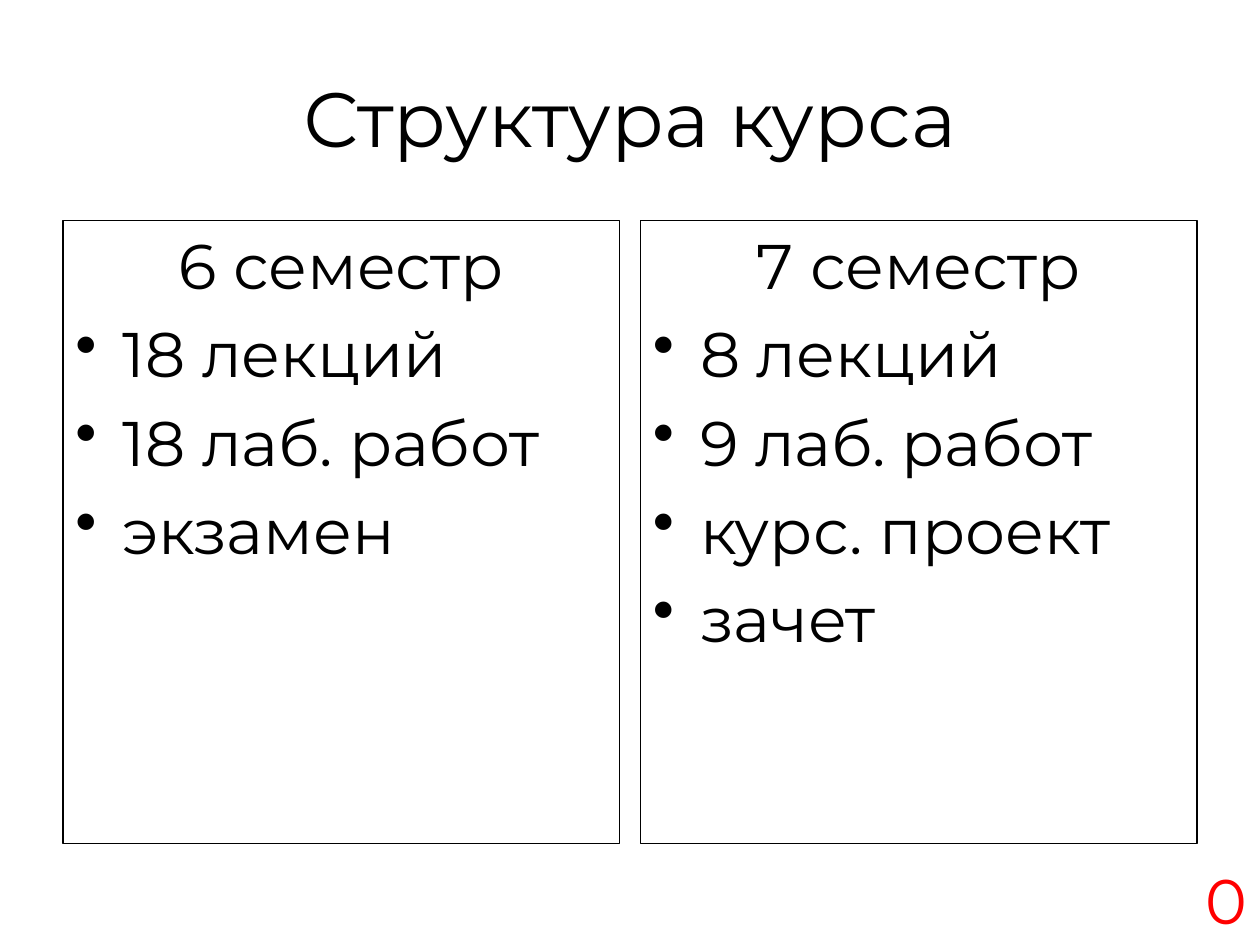
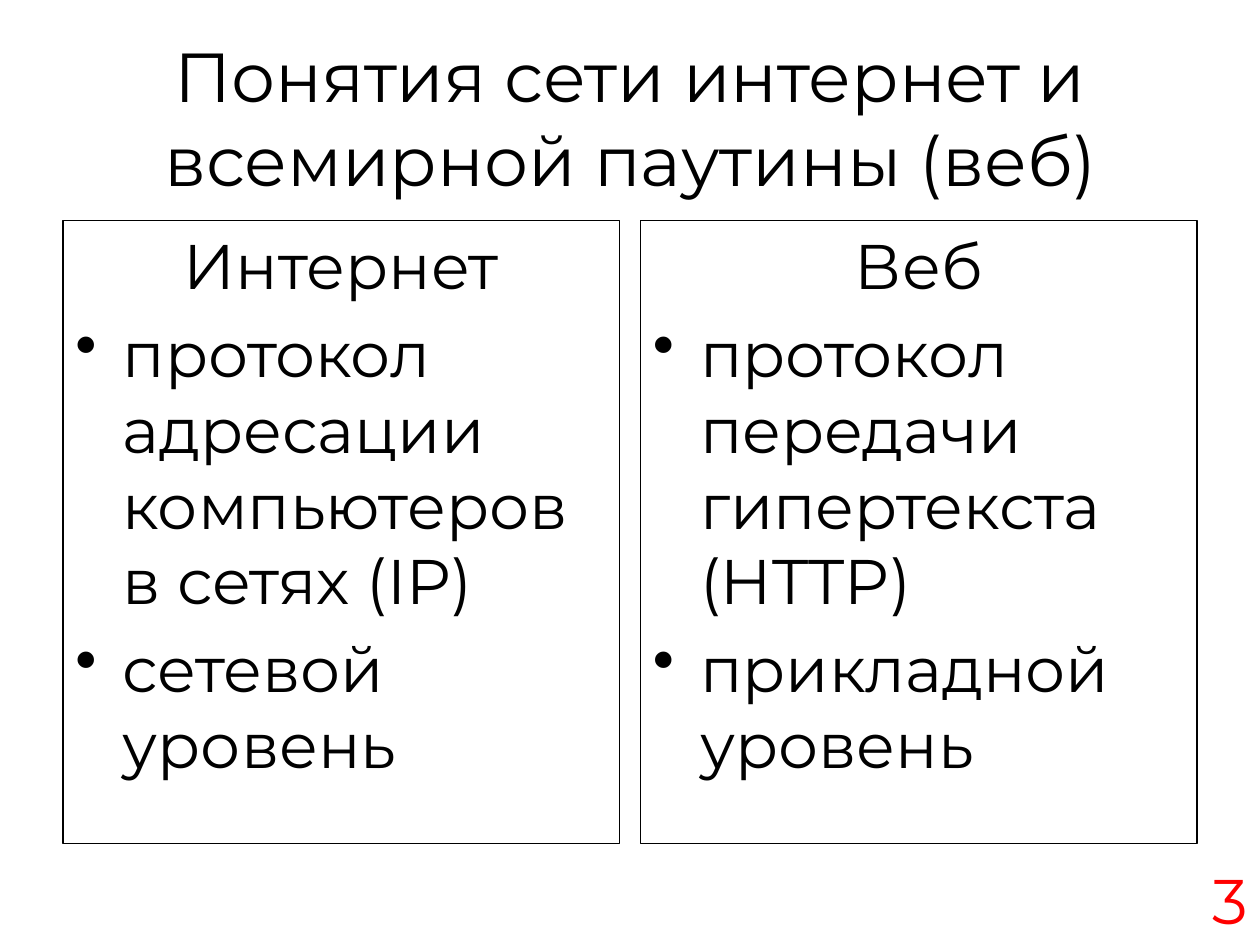
"""Build two slides that compare topics in pairs of framed columns."""
from lxml.etree import SubElement
from pptx import Presentation
from pptx.dml.color import RGBColor as Rgb
from pptx.enum.shapes import MSO_SHAPE as Shape
from pptx.enum.text import MSO_ANCHOR as Anchor, MSO_AUTO_SIZE as Auto, PP_ALIGN as Align
from pptx.oxml.ns import qn
from pptx.util import Pt

PX = 9525
FONT = "Montserrat"
INK = {"text": "000000", "line": "000000", "num": "FF0000"}
LEFT, TOP, WIDE, HIGH, GAP = 48, 168, 424, 475, 16
INDENT = 36

PAGES = [
    ("Структура курса", 44, "0", [
        ("6 семестр", ["18 лекций", "18 лаб. работ", "экзамен"]),
        ("7 семестр", ["8 лекций", "9 лаб. работ", "курс. проект", "зачет"]),
    ]),
    ("Понятия сети интернет и всемирной паутины (веб)", 39.6, "3", [
        ("Интернет", ["протокол адресации компьютеров в сетях (IP)", "сетевой уровень"]),
        ("Веб", ["протокол передачи гипертекста (HTTP)", "прикладной уровень"]),
    ]),
]


def style(para, size, ink, align):
    para.alignment = align
    for run in para.runs:
        run.font.name = FONT
        run.font.size = Pt(size)
        run.font.color.rgb = Rgb.from_string(INK[ink])


def label(slide, box, text, size, ink, align):
    frame = slide.shapes.add_textbox(*(n * PX for n in box)).text_frame
    frame.text = text
    style(frame.paragraphs[0], size, ink, align)
    return frame


deck = Presentation()
deck.slide_width = 960 * PX
deck.slide_height = 720 * PX

for title, size, num, cols in PAGES:
    slide = deck.slides.add_slide(deck.slide_layouts[6])
    head = label(slide, (LEFT, 29, 864, 120), title, size, "text", Align.CENTER)
    head.word_wrap = True
    head.vertical_anchor = Anchor.MIDDLE

    for col, (name, items) in enumerate(cols):
        left = LEFT + col * (WIDE + GAP)
        card = slide.shapes.add_shape(
            Shape.RECTANGLE, left * PX, TOP * PX, WIDE * PX, HIGH * PX)
        card.shadow.inherit = False
        card.fill.background()
        card.line.color.rgb = Rgb.from_string(INK["line"])
        card.line.width = Pt(0.75)
        frame = card.text_frame
        frame.word_wrap = True
        frame.vertical_anchor = Anchor.TOP
        frame.text = "\n".join([name] + items)
        for row, para in enumerate(frame.paragraphs):
            props = para._p.get_or_add_pPr()
            props.set("marL", str(INDENT * PX))
            props.set("indent", str(-INDENT * PX))
            if row:
                para.space_before = Pt(7.2)
                SubElement(props, qn("a:buChar")).set("char", "•")
            style(para, 36, "text", Align.LEFT if row else Align.CENTER)

    foot = label(slide, (908, 652, 52, 68), num, 36, "num", Align.RIGHT)
    foot.word_wrap = False
    foot.auto_size = Auto.SHAPE_TO_FIT_TEXT

deck.save("out.pptx")
